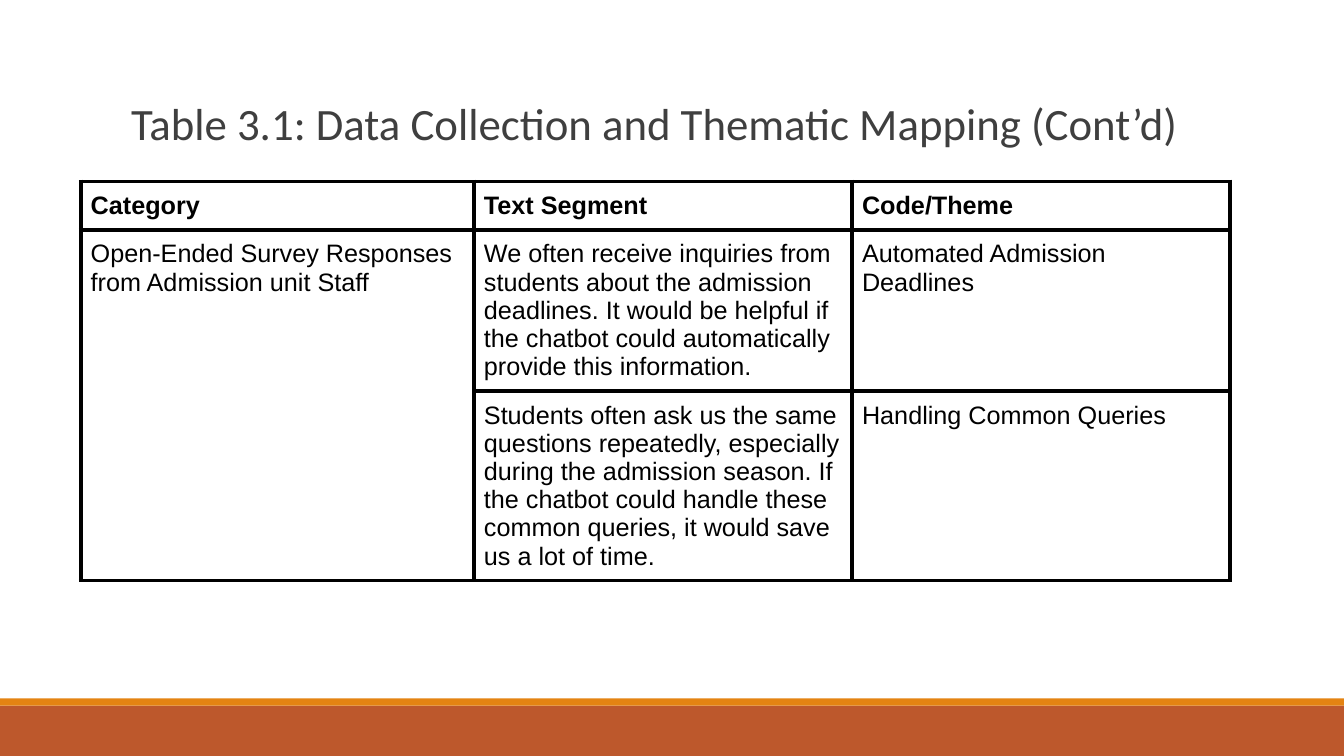
from dataclasses import dataclass

from lxml import etree
from pptx import Presentation
from pptx.dml.color import RGBColor
from pptx.enum.shapes import MSO_SHAPE
from pptx.enum.text import MSO_ANCHOR, MSO_AUTO_SIZE, PP_ALIGN
from pptx.oxml.ns import qn
from pptx.slide import Slide
from pptx.table import _Cell
from pptx.util import Emu, Pt

RECTANGLE = MSO_SHAPE.RECTANGLE
BOTTOM = MSO_ANCHOR.BOTTOM
NO_AUTOFIT = MSO_AUTO_SIZE.NONE
LEFT = PP_ALIGN.LEFT

EMU_PER_PX = 9144
SLIDE_WIDTH, SLIDE_HEIGHT = 1333, 750
CELL_MARGIN = 10
BORDER_POINTS = 3
BLACK = "000000"

TITLE = "Table 3.1: Data Collection and Thematic Mapping (Cont’d)"
TABLE_LEFT, TABLE_TOP = 80, 180
COLUMN_WIDTHS = (390, 375, 375)
ROW_HEIGHTS = (48, 160, 188)
ROWS = (
    ("Category", "Text Segment", "Code/Theme"),
    (
        "Open-Ended Survey Responses from Admission unit Staff",
        "We often receive inquiries from students about the admission deadlines. "
        "It would be helpful if the chatbot could automatically provide this information.",
        "Automated Admission Deadlines",
    ),
    (
        "",
        "Students often ask us the same questions repeatedly, especially during the "
        "admission season. If the chatbot could handle these common queries, "
        "it would save us a lot of time.",
        "Handling Common Queries",
    ),
)


@dataclass(frozen=True)
class Band:
    top: int
    height: int
    fill: str


FOOTER_BANDS = (Band(700, 50, "BD582C"), Band(693, 7, "E48312"))


def px(length: int) -> Emu:
    return Emu(length * EMU_PER_PX)


def color(value: str) -> RGBColor:
    return RGBColor.from_string(value)


def add_band(slide: Slide, band: Band) -> None:
    shape = slide.shapes.add_shape(
        RECTANGLE, 0, px(band.top), px(SLIDE_WIDTH), px(band.height)
    )
    shape.shadow.inherit = False
    shape.fill.solid()
    shape.fill.fore_color.rgb = color(band.fill)
    shape.line.fill.background()


def format_title(slide: Slide) -> None:
    title = slide.shapes.title
    title.left, title.top = px(120), px(31)
    title.width, title.height = px(1100), px(123)
    frame = title.text_frame
    frame.text = TITLE
    frame.word_wrap = True
    frame.auto_size = NO_AUTOFIT
    frame.vertical_anchor = BOTTOM
    paragraph = frame.paragraphs[0]
    paragraph.alignment = LEFT
    paragraph.line_spacing = 0.85
    paragraph.font.name = "Calibri"
    paragraph.font.size = Pt(32)
    paragraph.font.color.rgb = color("3F3F3F")


def add_borders(cell: _Cell) -> None:
    properties = cell._tc.get_or_add_tcPr()
    for side in ("a:lnL", "a:lnR", "a:lnT", "a:lnB"):
        line = etree.SubElement(properties, qn(side), w=str(Pt(BORDER_POINTS)))
        fill = etree.SubElement(line, qn("a:solidFill"))
        etree.SubElement(fill, qn("a:srgbClr"), val=BLACK)


def format_cell(cell: _Cell, text: str, bold: bool) -> None:
    cell.margin_left = cell.margin_right = px(CELL_MARGIN)
    cell.margin_top = cell.margin_bottom = px(CELL_MARGIN)
    add_borders(cell)
    cell.fill.background()
    cell.text = text
    font = cell.text_frame.paragraphs[0].font
    font.name = "Arial"
    font.size = Pt(18)
    font.bold = bold
    font.color.rgb = color(BLACK)


def add_theme_table(slide: Slide) -> None:
    table = slide.shapes.add_table(
        len(ROWS), len(COLUMN_WIDTHS), px(TABLE_LEFT), px(TABLE_TOP),
        px(sum(COLUMN_WIDTHS)), px(sum(ROW_HEIGHTS)),
    ).table
    table.first_row = False
    table.horz_banding = False
    for column, width in zip(table.columns, COLUMN_WIDTHS):
        column.width = px(width)
    for row, height in zip(table.rows, ROW_HEIGHTS):
        row.height = px(height)
    for row_index, texts in enumerate(ROWS):
        for column_index, text in enumerate(texts):
            format_cell(table.cell(row_index, column_index), text, row_index == 0)
    table.cell(1, 0).merge(table.cell(2, 0))


def main() -> None:
    presentation = Presentation()
    presentation.slide_width = px(SLIDE_WIDTH)
    presentation.slide_height = px(SLIDE_HEIGHT)
    slide = presentation.slides.add_slide(presentation.slide_layouts.get_by_name("Title Only"))
    for band in FOOTER_BANDS:
        add_band(slide, band)
    format_title(slide)
    add_theme_table(slide)
    presentation.save("out.pptx")


if __name__ == "__main__":
    main()
